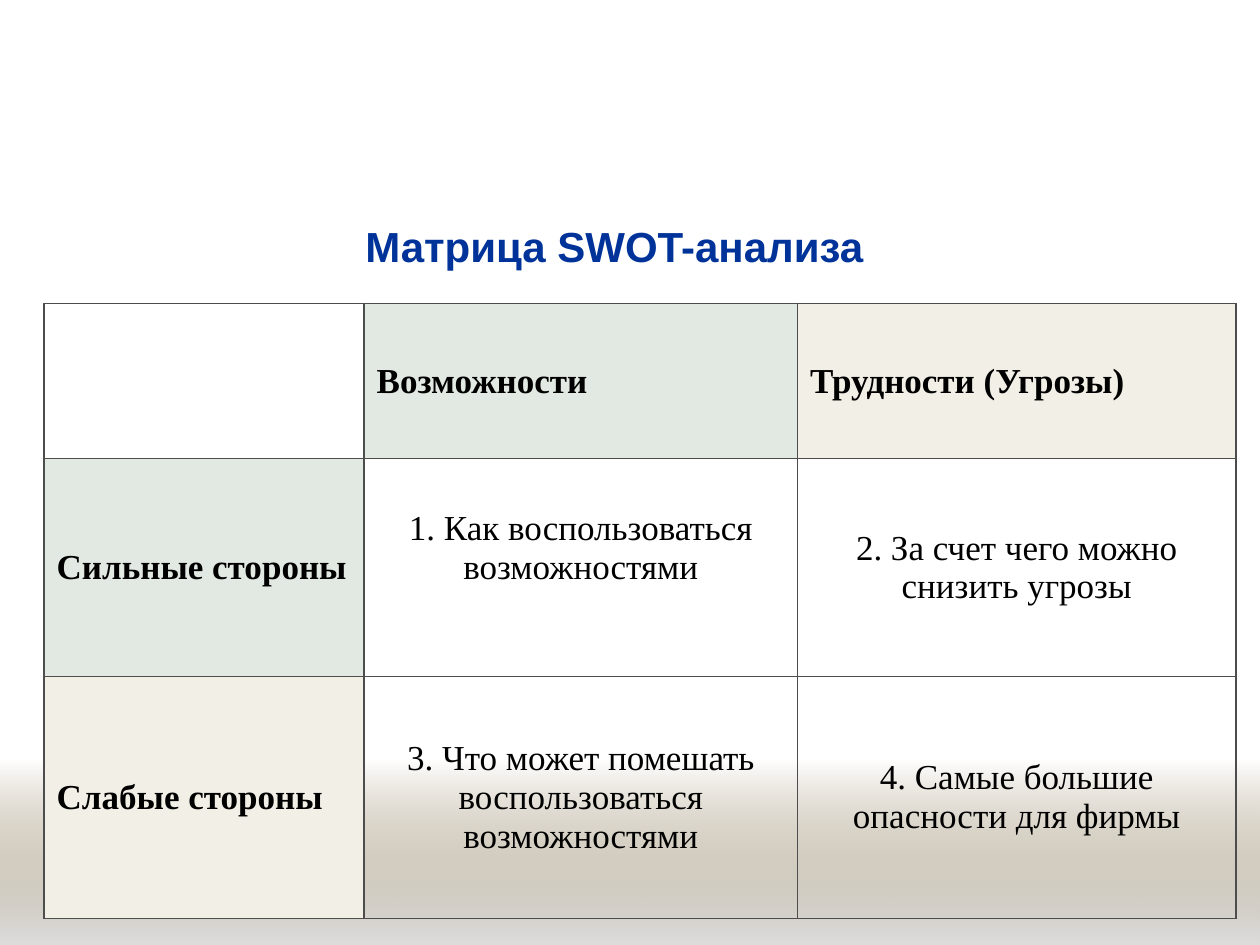
from lxml import etree
from pptx import Presentation
from pptx.dml.color import RGBColor
from pptx.enum.shapes import MSO_SHAPE
from pptx.enum.text import MSO_ANCHOR, MSO_AUTO_SIZE, PP_ALIGN
from pptx.oxml.ns import qn
from pptx.util import Inches, Pt

RECT = MSO_SHAPE.RECTANGLE
MIDDLE = MSO_ANCHOR.MIDDLE
GROW = MSO_AUTO_SIZE.SHAPE_TO_FIT_TEXT
CENTER, JUSTIFY = PP_ALIGN.CENTER, PP_ALIGN.JUSTIFY

COLORS = {
    "title": "003399",
    "text": "000000",
    "border": "4D4D4D",
    "green": "E2E8E2",
    "sand": "F2F0E6",
    "brown": "765E2F",
    "gray": "DDDDDD",
}
COLS = [2.54, 3.44, 3.48]
ROWS = [1.23, 1.73, 1.92]
# Each cell: text and fill; filled cells are headings
CELLS = [
    [("", None), ("Возможности", "green"), ("Трудности (Угрозы)", "sand")],
    [("Сильные стороны", "green"),
     ("1. Как воспользоваться возможностями", None),
     ("2. За счет чего можно снизить угрозы", None)],
    [("Слабые стороны", "sand"),
     ("3. Что может помешать воспользоваться возможностями", None),
     ("4. Самые большие опасности для фирмы", None)],
]


def rgb(name):
    return RGBColor.from_string(COLORS[name])


def add_run(para, text, font, size, color, bold):
    run = para.add_run()
    run.text = text
    run.font.name = font
    run.font.size = Pt(size)
    run.font.bold = bold
    run.font.color.rgb = rgb(color)


def add_band(slide):
    """Draw the bottom strip that fades in from clear brown to gray."""
    band = slide.shapes.add_shape(
        RECT, 0, Inches(6.03), Inches(10), Inches(1.47))
    band.shadow.inherit = False
    band.line.fill.background()
    band.fill.gradient()
    band.fill.gradient_angle = 270
    stops = band.fill.gradient_stops
    for stop, name, place in zip(stops, ("brown", "gray"), (0, 1)):
        stop.color.rgb = rgb(name)
        stop.position = place
    first = next(band.fill._xPr.iter(qn("a:srgbClr")))
    etree.SubElement(first, qn("a:alpha"), val="0")


def add_title(slide, text):
    title = slide.shapes.title
    title.left, title.top = Inches(2.8), Inches(1.7)
    title.width, title.height = Inches(4.66), Inches(0.5)
    frame = title.text_frame
    frame.word_wrap = False
    frame.auto_size = GROW
    frame.vertical_anchor = MIDDLE
    para = frame.paragraphs[0]
    para.alignment = JUSTIFY
    add_run(para, text, "Arial", 24, "title", True)


def set_border(cell):
    props = cell._tc.get_or_add_tcPr()
    for side in ("lnL", "lnR", "lnT", "lnB"):
        line = etree.SubElement(props, qn(f"a:{side}"), w=str(Pt(1)))
        fill = etree.SubElement(line, qn("a:solidFill"))
        etree.SubElement(fill, qn("a:srgbClr"), val=COLORS["border"])


def fill_cell(cell, text, color):
    set_border(cell)
    cell.vertical_anchor = MIDDLE
    if color:
        cell.fill.solid()
        cell.fill.fore_color.rgb = rgb(color)
    else:
        cell.fill.background()
    if text:
        para = cell.text_frame.paragraphs[0]
        para.alignment = JUSTIFY if color else CENTER
        add_run(para, text, "Times New Roman", 20, "text", bool(color))


def add_matrix(slide):
    table = slide.shapes.add_table(
        len(ROWS), len(COLS), Inches(0.35), Inches(2.41),
        Inches(sum(COLS)), Inches(sum(ROWS))).table
    table.first_row = False
    table.horz_banding = False
    for col, width in zip(table.columns, COLS):
        col.width = Inches(width)
    for row, height, items in zip(table.rows, ROWS, CELLS):
        row.height = Inches(height)
        for cell, (text, color) in zip(row.cells, items):
            fill_cell(cell, text, color)
    # The first answer sits half a line above the middle
    table.cell(1, 1).margin_bottom = Inches(0.36)


def main():
    deck = Presentation()
    deck.slide_width, deck.slide_height = Inches(10), Inches(7.5)
    slide = deck.slides.add_slide(deck.slide_layouts[5])
    add_band(slide)
    add_title(slide, "Матрица SWOT-анализа")
    add_matrix(slide)
    deck.save("out.pptx")


if __name__ == "__main__":
    main()
